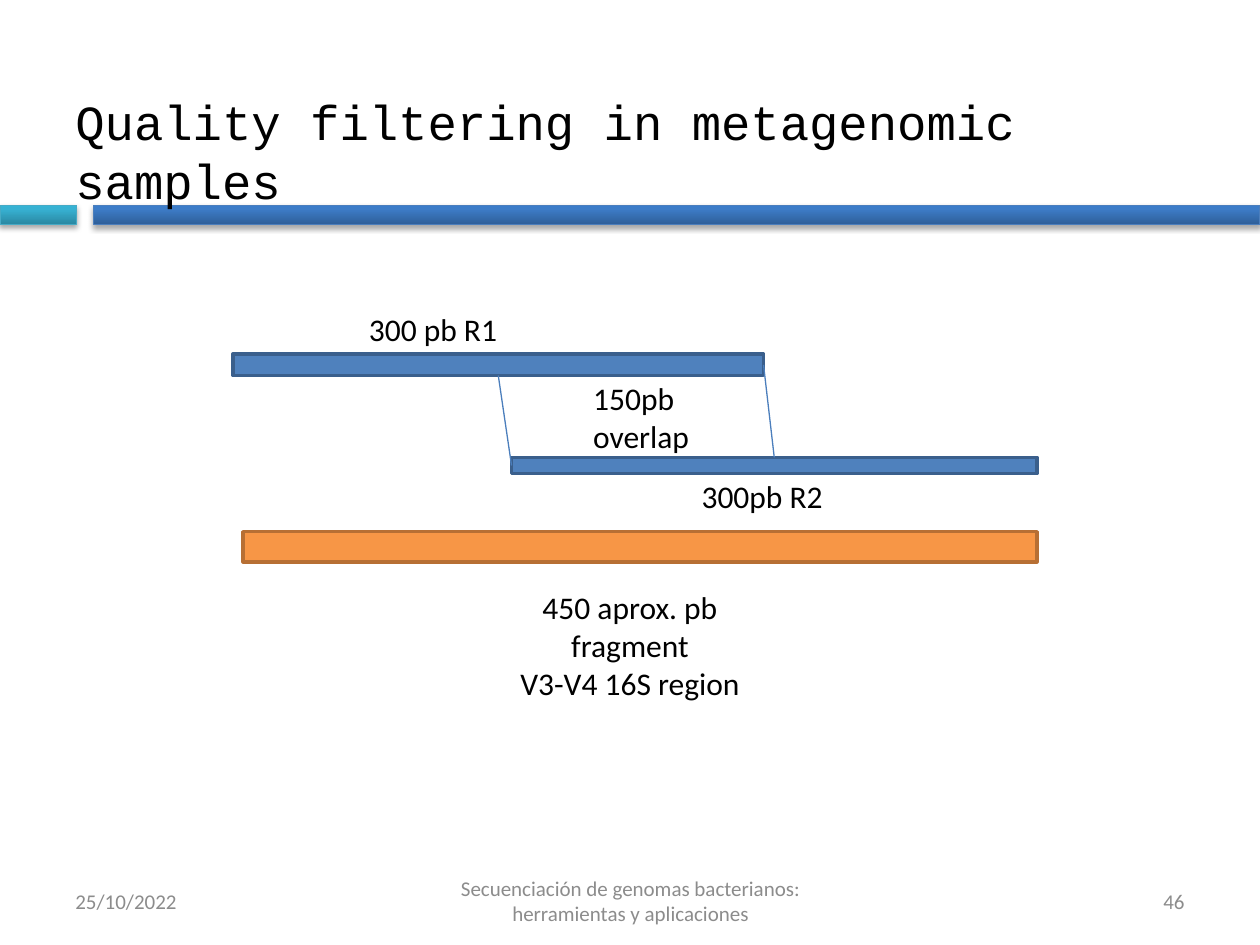
from copy import deepcopy
from dataclasses import dataclass

from lxml.etree import SubElement
from pptx import Presentation
from pptx.dml.color import RGBColor
from pptx.enum.shapes import MSO_CONNECTOR, MSO_SHAPE
from pptx.enum.text import MSO_ANCHOR, MSO_AUTO_SIZE, PP_ALIGN
from pptx.oxml.ns import qn
from pptx.util import Inches, Pt


@dataclass(frozen=True)
class Theme:
    ink: str = "000000"
    muted: str = "8C8C8C"
    read: tuple = ("4F81BD", "3A5F8C")
    fragment: tuple = ("F79646", "B76F34")
    guide: str = "4B7EBC"
    blue_band: tuple = ("2F5F99", "3D7CC7", "3A7CCB")
    teal_band: tuple = ("2A88A2", "37B1D2", "34B4D6")
    teal_edge: str = "46AAC5"
    title_font: str = "Courier New"
    body_font: str = "Calibri"
    title_size: int = 28
    label_size: int = 18
    footer_size: int = 12


theme = Theme()
rgb = RGBColor.from_string

deck = Presentation()
deck.slide_width, deck.slide_height = Inches(10), Inches(7.5)
slide = deck.slides.add_slide(deck.slide_layouts[6])
shapes = slide.shapes

# Places are percentages of the slide's width and height
column, row = deck.slide_width / 100, deck.slide_height / 100


def add_bar(left, top, width, height, edge, edge_width):
    bar = shapes.add_shape(MSO_SHAPE.RECTANGLE, round(left * column), round(top * row),
                           round(width * column), round(height * row))
    bar.shadow.inherit = False
    bar.line.color.rgb = rgb(edge)
    bar.line.width = Pt(edge_width)
    return bar


def add_text(lines, left, top, width, height, size=theme.label_size, color=theme.ink,
             font=theme.body_font, align=PP_ALIGN.LEFT, anchor=MSO_ANCHOR.TOP,
             fit=MSO_AUTO_SIZE.SHAPE_TO_FIT_TEXT):
    frame = shapes.add_textbox(round(left * column), round(top * row),
                               round(width * column), round(height * row)).text_frame
    frame.word_wrap = True
    frame.auto_size = fit
    frame.vertical_anchor = anchor
    frame.text = lines
    for paragraph in frame.paragraphs:
        paragraph.alignment = align
        paragraph.font.name = font
        paragraph.font.size = Pt(size)
        paragraph.font.color.rgb = rgb(color)


# Header bands: three-stop gradient and soft shadow
for left, width, colors, edge in (
    (7.4, 92.6, theme.blue_band, theme.guide),
    (0, 6.1, theme.teal_band, theme.teal_edge),
):
    band = add_bar(left, 21.73, width, 2, edge, 0.75)
    band.fill.gradient()
    band.fill.gradient_angle = 90
    stop_list = next(band._element.iter(qn("a:gsLst")))
    stop_list.append(deepcopy(stop_list[-1]))
    for stop, position, color in zip(band.fill.gradient_stops, (0, 0.8, 1), colors):
        stop.position = position
        stop.color.rgb = rgb(color)
    effects = band._element.spPr.find(qn("a:effectLst"))
    shadow = SubElement(effects, qn("a:outerShdw"), blurRad=str(Pt(3.1)), dist=str(Pt(1.8)),
                        dir="5400000", rotWithShape="0")
    shade = SubElement(shadow, qn("a:srgbClr"), val=theme.ink)
    SubElement(shade, qn("a:alpha"), val="35000")

# Title
add_text("Quality filtering in metagenomic samples", 5, 10.13, 90, 11.6,
         size=theme.title_size, font=theme.title_font, anchor=MSO_ANCHOR.MIDDLE,
         fit=MSO_AUTO_SIZE.NONE)

# Fragment and the two reads that cover it
fragment, read_1, read_2 = (
    add_bar(*place, edge, 2) for *place, edge in (
        (19.3, 56.27, 63, 3.2, theme.fragment[1]),
        (18.5, 37.47, 42.1, 2.27, theme.read[1]),
        (40.6, 48.4, 41.7, 1.73, theme.read[1]),
    )
)
for bar, color in ((fragment, theme.fragment[0]), (read_1, theme.read[0]), (read_2, theme.read[0])):
    bar.fill.solid()
    bar.fill.fore_color.rgb = rgb(color)

# Read labels
add_text("300 pb R1", 28.3, 32.13, 12.3, 5.33)
add_text("150pb overlap", 46.1, 39.47, 15, 5.33)
add_text("300pb R2", 54.7, 49.87, 19.6, 5.33)

# Overlap limits: read 1 bottom to read 2 left, read 1 right to read 2 top
for start_side, end_side in ((2, 1), (3, 0)):
    limit = shapes.add_connector(MSO_CONNECTOR.STRAIGHT, 0, 0, 0, 0)
    limit.begin_connect(read_1, start_side)
    limit.end_connect(read_2, end_side)
    limit.line.color.rgb = rgb(theme.guide)
    limit.line.width = Pt(0.75)
    SubElement(limit._element.spPr, qn("a:effectLst"))

# Footer
for words, left, width, align in (
    ("Secuenciación de genomas bacterianos: herramientas y aplicaciones", 34.2, 31.7,
     PP_ALIGN.CENTER),
    ("46", 71.7, 23.3, PP_ALIGN.RIGHT),
    ("25/10/2022", 5, 23.3, PP_ALIGN.LEFT),
):
    add_text(words, left, 92.67, width, 5.33, size=theme.footer_size, color=theme.muted,
             align=align, anchor=MSO_ANCHOR.MIDDLE, fit=MSO_AUTO_SIZE.NONE)

# Fragment label
add_text("450 aprox. pb fragment\nV3-V4 16S region", 38.8, 61.6, 22.4, 13.47,
         align=PP_ALIGN.CENTER)

deck.save("out.pptx")
